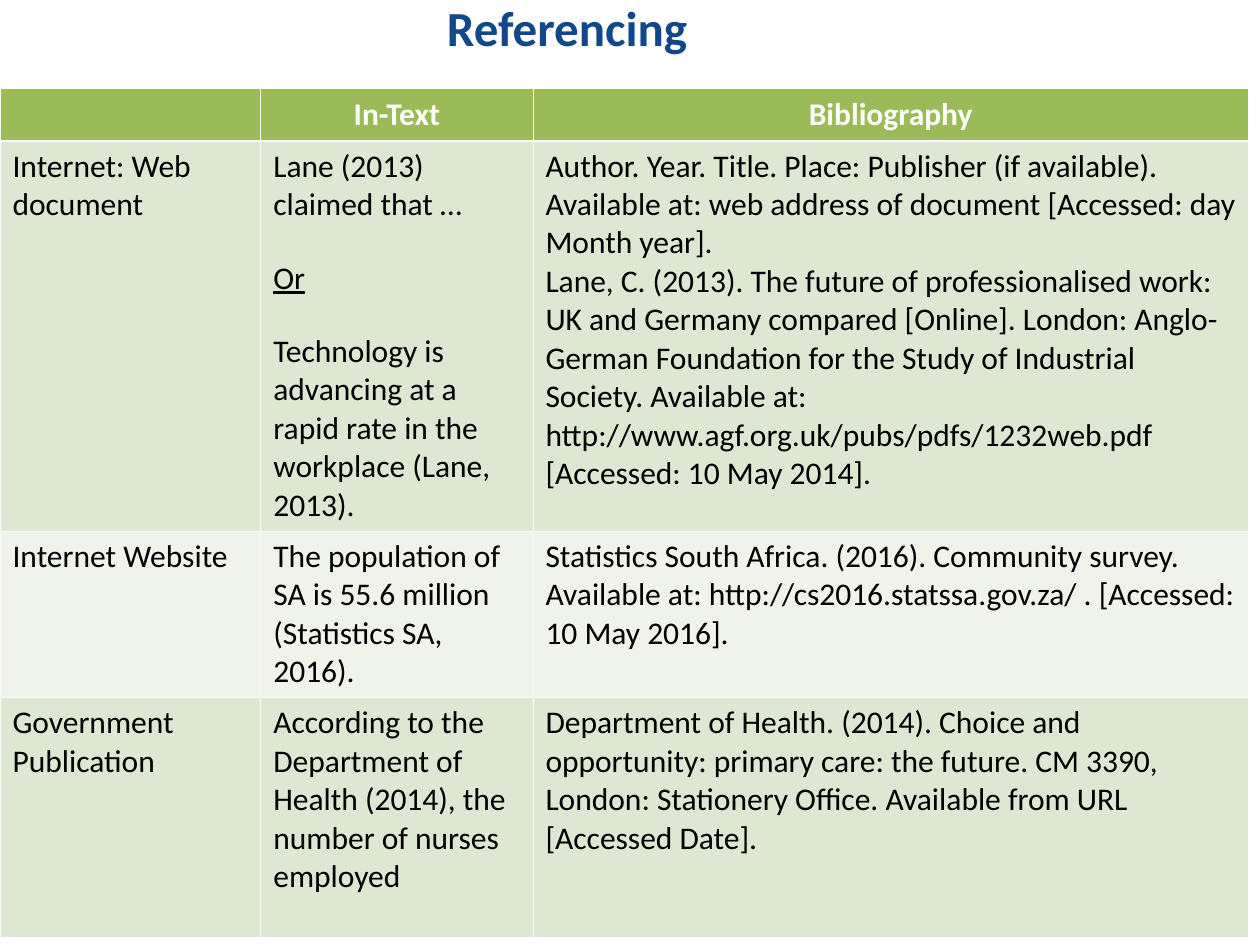
from lxml.etree import SubElement
from pptx import Presentation
from pptx.dml.color import RGBColor
from pptx.enum.text import MSO_ANCHOR, PP_ALIGN
from pptx.oxml.ns import qn
from pptx.util import Inches, Pt

HEADERS = ["", "In-Text", "Bibliography"]
REFERENCES = [
    [
        ["Internet: Web document"],
        [
            "Lane (2013) claimed that …",
            "Or",
            "Technology is advancing at a rapid rate in the workplace (Lane, 2013).",
        ],
        [
            "Author. Year. Title. Place: Publisher (if available). Available at: "
            "web address of document [Accessed: day Month year].",
            "Lane, C. (2013). The future of professionalised work: UK and Germany "
            "compared [Online]. London: Anglo-German Foundation for the Study of "
            "Industrial Society. Available at: "
            "http://www.agf.org.uk/pubs/pdfs/1232web.pdf [Accessed: 10 May 2014].",
        ],
    ],
    [
        ["Internet Website"],
        ["The population of SA is 55.6 million (Statistics SA, 2016)."],
        [
            "Statistics South Africa. (2016). Community survey. Available at: "
            "http://cs2016.statssa.gov.za/ . [Accessed: 10 May 2016].",
        ],
    ],
    [
        ["Government Publication"],
        ["According to the Department of Health (2014), the number of nurses employed"],
        [
            "Department of Health. (2014). Choice and\vopportunity: primary care: "
            "the future. CM 3390,\vLondon: Stationery Office. Available from URL "
            "[Accessed Date].",
        ],
    ],
]


def color(value):
    return RGBColor.from_string(value)


class ReferenceSlide:
    font = "Calibri"
    title_color = "11488B"
    header_fill = "9BBB59"
    band_fills = ["DEE7D1", "EFF3EA"]
    white, black = "FFFFFF", "000000"
    thin, thick = 0.45, 1.47
    text_size = 18

    def __init__(self, presentation):
        self.width = presentation.slide_width
        self.height = presentation.slide_height
        self.slide = presentation.slides.add_slide(presentation.slide_layouts[5])

    def frame(self, left, top, width, height):
        return (
            int(left * self.width),
            int(top * self.height),
            int(width * self.width),
            int(height * self.height),
        )

    def run(self, paragraph, text, size, text_color, bold=False, underline=False):
        for index, line in enumerate(text.split("\v")):
            if index:
                paragraph.add_line_break()
            run = paragraph.add_run()
            run.text = line
            run.font.name = self.font
            run.font.size = Pt(size)
            run.font.bold = bold
            run.font.underline = underline
            run.font.color.rgb = color(text_color)

    def title(self, text, *shares):
        title = self.slide.shapes.title
        title.left, title.top, title.width, title.height = self.frame(*shares)
        title.text_frame.vertical_anchor = MSO_ANCHOR.MIDDLE
        paragraph = title.text_frame.paragraphs[0]
        paragraph.alignment = PP_ALIGN.CENTER
        self.run(paragraph, text, 28, self.title_color, bold=True)

    def borders(self, cell, top, bottom):
        properties = cell._tc.get_or_add_tcPr()
        sides = {"lnL": self.thin, "lnR": self.thin, "lnT": top, "lnB": bottom}
        for side, points in sides.items():
            line = SubElement(properties, qn(f"a:{side}"), w=str(int(Pt(points))))
            fill = SubElement(line, qn("a:solidFill"))
            SubElement(fill, qn("a:srgbClr"), val=self.white)

    def cell(self, cell, texts, row):
        is_header = row == 0
        self.borders(
            cell,
            self.thick if row == 1 else self.thin,
            self.thick if is_header else self.thin,
        )
        cell.fill.solid()
        band = self.band_fills[(row - 1) % 2]
        cell.fill.fore_color.rgb = color(self.header_fill if is_header else band)
        text_color = self.white if is_header else self.black
        spaced = len(texts) == 3
        for index, text in enumerate(texts):
            frame = cell.text_frame
            paragraph = frame.add_paragraph() if index else frame.paragraphs[0]
            paragraph.alignment = PP_ALIGN.CENTER if is_header else PP_ALIGN.LEFT
            if spaced and index:
                paragraph.space_before = Pt(20)
            if text:
                self.run(paragraph, text, self.text_size, text_color,
                         bold=is_header, underline=text == "Or")

    def table(self, rows, column_shares, row_shares, left, top):
        frame = self.frame(left, top, sum(column_shares), sum(row_shares))
        table = self.slide.shapes.add_table(
            len(rows), len(column_shares), *frame
        ).table
        for column, share in zip(table.columns, column_shares):
            column.width = int(share * self.width)
        for row, share in zip(table.rows, row_shares):
            row.height = int(share * self.height)
        for row_index, row in enumerate(rows):
            for column_index, texts in enumerate(row):
                self.cell(table.cell(row_index, column_index), texts, row_index)


def main():
    presentation = Presentation()
    presentation.slide_width = Inches(10)
    presentation.slide_height = Inches(7.5)
    slide = ReferenceSlide(presentation)
    slide.title("Referencing", 0, -0.044, 0.9, 0.144)
    slide.table(
        [[[header] for header in HEADERS]] + REFERENCES,
        column_shares=[0.207, 0.216, 0.568],
        row_shares=[0.055, 0.413, 0.176, 0.254],
        left=0,
        top=0.094,
    )
    presentation.save("out.pptx")


if __name__ == "__main__":
    main()
